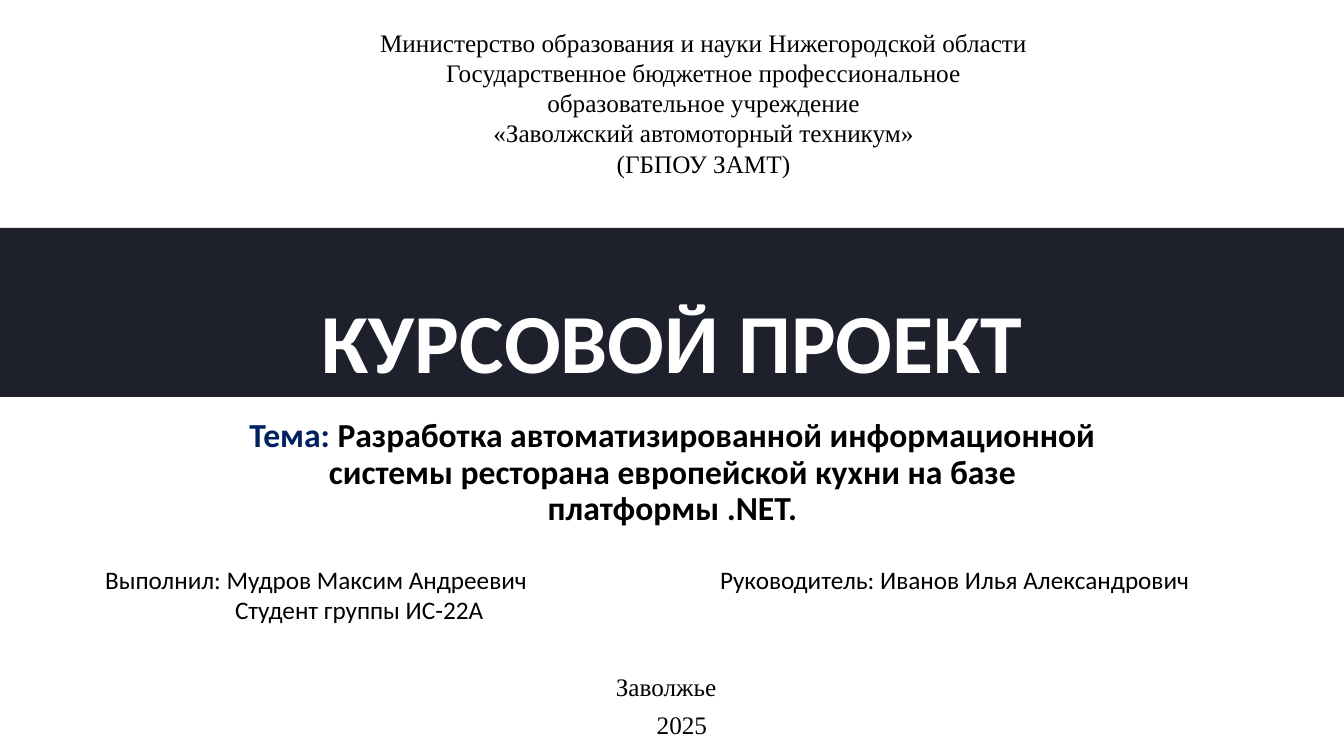
import dataclasses

import pptx
import pptx.dml.color
import pptx.enum.shapes
import pptx.enum.text
import pptx.util

PAGE_WIDTH, PAGE_HEIGHT = 1344, 756
EMU_PER_PX = 12192000 / PAGE_WIDTH
ALIGN = pptx.enum.text.PP_ALIGN


@dataclasses.dataclass(frozen=True)
class Theme:
    band: str = "1E202C"
    light: str = "FFFFFF"
    text: str = "000000"
    accent: str = "002060"
    sans: str = "Calibri"
    serif: str = "Times New Roman"
    title_size: int = 60
    topic_size: int = 24
    body_size: int = 18


THEME = Theme()


def px(length):
    return pptx.util.Emu(round(length * EMU_PER_PX))


def color(value):
    return pptx.dml.color.RGBColor.from_string(value)


def write(para, text, font=THEME.sans, size=THEME.body_size, fill=THEME.text,
          bold=False, align=ALIGN.LEFT, spacing=None, before=0, indent=0):
    """Append text to a paragraph; a newline becomes a line break."""
    para.alignment = align
    if spacing:
        para.line_spacing = spacing
    if before:
        para.space_before = pptx.util.Pt(before)
    if indent:
        para._p.get_or_add_pPr().set("marL", str(px(indent)))
    for index, line in enumerate(text.split("\n")):
        if index:
            para.add_line_break()
        span = para.add_run()
        span.text = line
        span.font.name = font
        span.font.size = pptx.util.Pt(size)
        span.font.bold = bold
        span.font.color.rgb = color(fill)


def add_text_frame(slide, box):
    frame = slide.shapes.add_textbox(*map(px, box)).text_frame
    frame.word_wrap = True
    return frame


def add_institution(slide, box):
    frame = add_text_frame(slide, box)
    lines = (
        "Министерство образования и науки Нижегородской области",
        "Государственное бюджетное профессиональное\nобразовательное учреждение",
        "«Заволжский автомоторный техникум»",
        "(ГБПОУ ЗАМТ)",
    )
    for index, line in enumerate(lines):
        para = frame.add_paragraph() if index else frame.paragraphs[0]
        write(para, line, font=THEME.serif, align=ALIGN.CENTER)


def add_title_band(slide, box):
    band = slide.shapes.add_shape(
        pptx.enum.shapes.MSO_SHAPE.RECTANGLE, *map(px, box))
    band.shadow.inherit = False
    band.fill.solid()
    band.fill.fore_color.rgb = color(THEME.band)
    band.line.fill.background()
    band.text_frame.word_wrap = True
    band.text_frame.vertical_anchor = pptx.enum.text.MSO_ANCHOR.BOTTOM
    write(band.text_frame.paragraphs[0], "КУРСОВОЙ ПРОЕКТ", size=THEME.title_size,
          fill=THEME.light, bold=True, align=ALIGN.CENTER, spacing=0.9)


def add_topic(slide, box):
    para = add_text_frame(slide, box).paragraphs[0]
    style = dict(size=THEME.topic_size, bold=True, align=ALIGN.CENTER, spacing=0.9)
    write(para, "Тема: ", fill=THEME.accent, **style)
    write(para, "Разработка автоматизированной информационной системы ресторана "
                "европейской кухни на базе платформы .NET.", **style)


def add_people(slide, box):
    table = slide.shapes.add_table(1, 2, *map(px, box)).table
    table.first_row = False
    table.horz_banding = False
    author_width = 615
    table.columns[0].width = px(author_width)
    table.columns[1].width = px(box[2] - author_width)
    author, supervisor = table.cell(0, 0), table.cell(0, 1)
    for cell in (author, supervisor):
        cell.fill.background()
    write(author.text_frame.paragraphs[0], "Выполнил: Мудров Максим Андреевич")
    write(author.text_frame.add_paragraph(), "Студент группы ИС-22А", indent=130)
    write(supervisor.text_frame.paragraphs[0],
          "Руководитель: Иванов Илья Александрович")


def add_place_and_year(slide, box):
    frame = add_text_frame(slide, box)
    style = dict(font=THEME.serif, indent=20)
    write(frame.paragraphs[0], "Заволжье", align=ALIGN.JUSTIFY, **style)
    write(frame.add_paragraph(), "2025", align=ALIGN.CENTER, before=6, **style)


def main():
    deck = pptx.Presentation()
    deck.slide_width, deck.slide_height = px(PAGE_WIDTH), px(PAGE_HEIGHT)
    slide = deck.slides.add_slide(deck.slide_layouts[6])
    add_title_band(slide, (0, 228, PAGE_WIDTH, 169))
    add_topic(slide, (237, 414, 871, 130))
    add_institution(slide, (336, 22, 735, 163))
    add_people(slide, (95, 560, 1182, 71))
    add_place_and_year(slide, (586, 666, 172, 80))
    deck.save("out.pptx")


if __name__ == "__main__":
    main()
